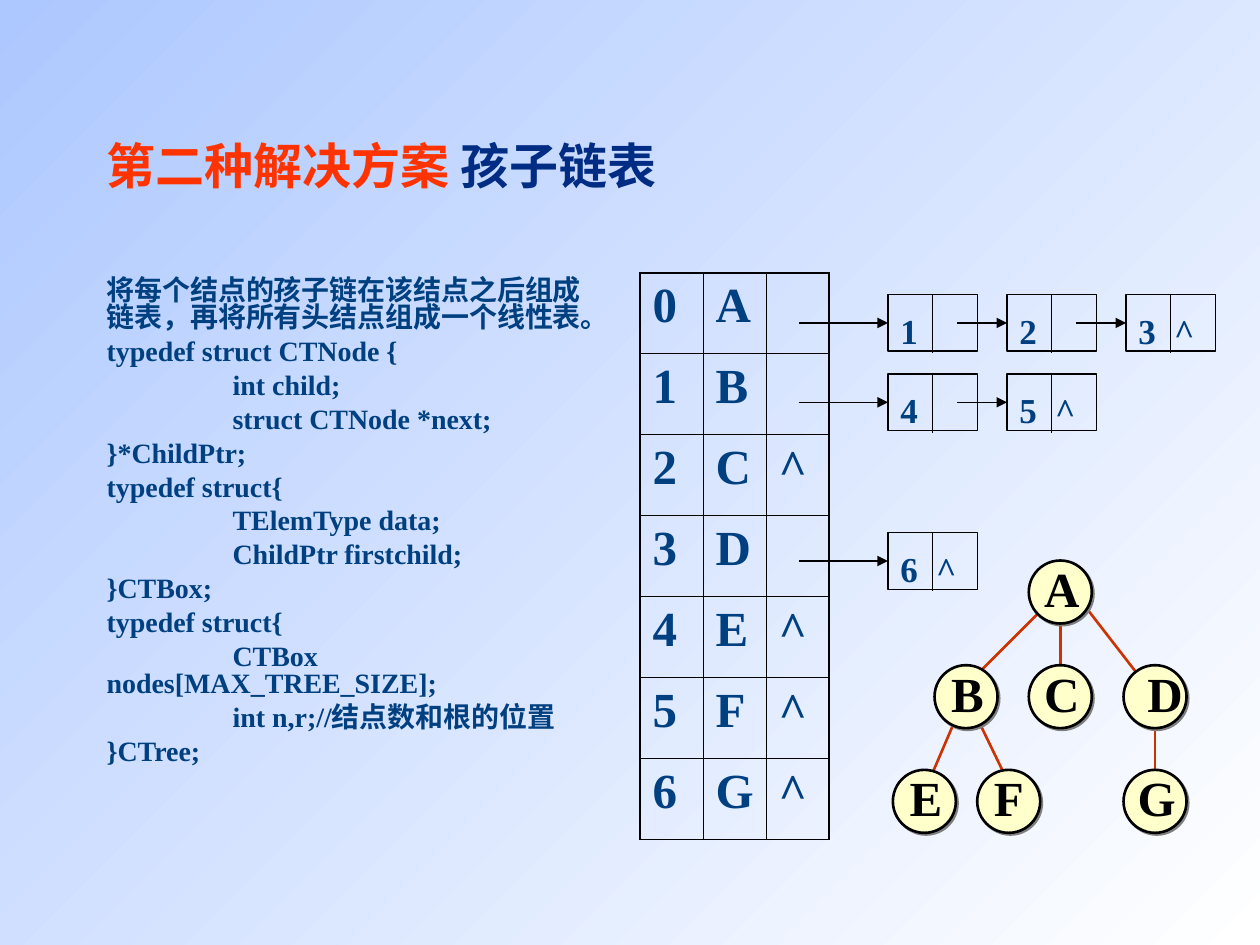
from dataclasses import dataclass

from lxml.etree import SubElement
from pptx import Presentation
from pptx.dml.color import RGBColor
from pptx.enum.shapes import MSO_CONNECTOR as Connector, MSO_SHAPE as Shape
from pptx.enum.text import MSO_ANCHOR as Anchor, PP_ALIGN as Align
from pptx.oxml.ns import qn
from pptx.util import Cm, Pt


@dataclass(frozen=True)
class Theme:
    font: str = "Times New Roman"
    sky: str = "ADC8FF"
    white: str = "FFFFFF"
    accent: str = "FF3300"
    navy: str = "002C84"
    body: str = "004080"
    black: str = "000000"
    edge: str = "CC3300"
    circle: str = "FFFFCC"
    shadow: str = "808080"
    large: int = 28
    medium: int = 20
    small: int = 16
    thin: float = 0.45
    frame: float = 1.08
    link: float = 0.75
    outline: float = 1.5


THEME = Theme()

CODE = [
    "将每个结点的孩子链在该结点之后组成链表，再将所有头结点组成一个线性表。",
    "typedef struct CTNode {",
    "\tint child;",
    "\tstruct CTNode *next;",
    "}*ChildPtr;",
    "typedef struct{",
    "\tTElemType data;",
    "\tChildPtr firstchild;",
    "}CTBox;",
    "typedef struct{",
    "\tCTBox nodes[MAX_TREE_SIZE];",
    "\tint n,r;//结点数和根的位置",
    "}CTree;",
]
# Children of each parent, keyed by table row
CHILDREN = {0: "123", 1: "45", 3: "6"}
# Letter: left and top of the circle, sideways shift of the letter
TREE_NODES = {
    "A": (2.74, 0, 0.03), "B": (0.84, 2.11, 0.03), "C": (2.74, 2.11, 0.03),
    "D": (4.65, 2.11, 0.2), "E": (0, 4.22, 0.03), "F": (1.7, 4.22, 0),
    "G": (4.65, 4.22, 0.03),
}
TREE_EDGES = [
    (5.28, 3.18, 5.28, 4.65), (3.81, 0.84, 5.28, 2.74), (1.7, 3.18, 2.31, 4.44),
    (1.27, 3.18, 0.64, 4.65), (2.95, 1.04, 1.68, 2.31), (3.38, 1.04, 3.38, 2.31),
]


def rgb(color):
    return RGBColor.from_string(color)


def write_text(frame, paragraphs, *, size, color=THEME.body, align=Align.LEFT,
               anchor=Anchor.TOP, wrap=True, insets=(0.25, 0.13, 0.25, 0.13),
               line_spacing=None, space_before=0, tab=None):
    """Fill a frame; a paragraph is a string or a list of (text, color) runs."""
    frame.word_wrap = wrap
    frame.vertical_anchor = anchor
    (frame.margin_left, frame.margin_top,
     frame.margin_right, frame.margin_bottom) = map(Cm, insets)
    for index, content in enumerate(paragraphs):
        paragraph = frame.add_paragraph() if index else frame.paragraphs[0]
        if tab:
            tabs = SubElement(paragraph._p.get_or_add_pPr(), qn("a:tabLst"))
            SubElement(tabs, qn("a:tab"), pos=str(Cm(tab)), algn="l")
        paragraph.alignment = align
        paragraph.line_spacing = line_spacing
        paragraph.space_before = Pt(space_before if index else 0)
        runs = [(content, color)] if isinstance(content, str) else content
        for text, run_color in runs:
            run = paragraph.add_run()
            run.text = text
            run.font.name = THEME.font
            run.font.size = Pt(size)
            run.font.bold = True
            run.font.color.rgb = rgb(run_color)


def add_text(shapes, left, top, width, height, paragraphs, **text_format):
    box = shapes.add_textbox(Cm(left), Cm(top), Cm(width), Cm(height))
    write_text(box.text_frame, paragraphs, **text_format)


def add_line(shapes, x1, y1, x2, y2, color=THEME.black, width=THEME.link, arrow=False):
    line = shapes.add_connector(Connector.STRAIGHT, Cm(x1), Cm(y1), Cm(x2), Cm(y2))
    line.line.color.rgb = rgb(color)
    line.line.width = Pt(width)
    if arrow:
        SubElement(line.line._get_or_add_ln(), qn("a:tailEnd"), type="triangle")
    SubElement(line._element.spPr, qn("a:effectLst"))


def add_outlined(shapes, kind, left, top, width, height, line_width):
    shape = shapes.add_shape(kind, Cm(left), Cm(top), Cm(width), Cm(height))
    shape.shadow.inherit = False
    shape.fill.background()
    shape.line.color.rgb = rgb(THEME.black)
    shape.line.width = Pt(line_width)
    return shape


def set_borders(cell, widths):
    for side, width in zip("LRTB", widths):
        line = SubElement(cell._tc.get_or_add_tcPr(), qn(f"a:ln{side}"), w=str(Pt(width)))
        fill = SubElement(line, qn("a:solidFill"))
        SubElement(fill, qn("a:srgbClr"), val=THEME.black)


def add_parent_table(slide, left, top, width, height):
    """List every tree node, marking those without children by ^."""
    letters = "ABCDEFG"
    last = len(letters) - 1
    table = slide.shapes.add_table(len(letters), 3, Cm(left), Cm(top),
                                   Cm(width), Cm(height)).table
    table.first_row = table.horz_banding = False
    for row, letter in enumerate(letters):
        for column, text in enumerate((str(row), letter, "" if row in CHILDREN else "^")):
            cell = table.cell(row, column)
            outer = (column == 0, column == 2, row == 0, row == last)
            set_borders(cell, [THEME.frame if side else THEME.thin for side in outer])
            cell.fill.background()
            write_text(cell.text_frame, [text] if text else [], size=THEME.large)


def add_child_chains(slide, left, top):
    """Draw one linked list per parent, level with its slot in the grid."""
    shapes = slide.shapes.add_group_shape().shapes
    width, height, column_pitch, row_pitch = 1.8, 1.14, 2.4, 1.6
    for row, children in CHILDREN.items():
        y = top + row * row_pitch
        arrow_start = left - 1.8
        for position, child in enumerate(children):
            x = left + position * column_pitch
            is_last = position == len(children) - 1
            node = add_outlined(shapes, Shape.RECTANGLE, x, y, width, height, THEME.link)
            write_text(node.text_frame, [child + "\t^" if is_last else child],
                       size=THEME.medium, anchor=Anchor.MIDDLE, line_spacing=1.05,
                       insets=(0.25, 0.25, 0.1, 0), tab=0.72)
            add_line(shapes, x + width / 2, y, x + width / 2, y + height + 0.04)
            add_line(shapes, arrow_start, y + height / 2, x, y + height / 2, arrow=True)
            arrow_start = x + 1.4


def add_tree(slide, left, top):
    shapes = slide.shapes.add_group_shape().shapes
    diameter = 1.27
    for x1, y1, x2, y2 in TREE_EDGES:
        add_line(shapes, left + x1, top + y1, left + x2, top + y2,
                 THEME.edge, THEME.outline)
    for x, y, _ in TREE_NODES.values():
        circle = add_outlined(shapes, Shape.OVAL, left + x, top + y,
                              diameter, diameter, THEME.outline)
        circle.fill.solid()
        circle.fill.fore_color.rgb = rgb(THEME.circle)
        effects = circle._element.spPr.find(qn("a:effectLst"))
        shadow = SubElement(effects, qn("a:outerShdw"), dist=str(Pt(1.4)), dir="2700000",
                            algn="ctr", rotWithShape="0")
        SubElement(shadow, qn("a:srgbClr"), val=THEME.shadow)
    for letter, (x, y, shift) in TREE_NODES.items():
        add_text(shapes, left + x + shift, top + y - 0.17, diameter, 1.45, [letter],
                 size=THEME.large, color=THEME.black, align=Align.CENTER,
                 anchor=Anchor.MIDDLE, wrap=False)


def set_background(slide):
    fill = slide.background.fill
    fill.gradient()
    fill.gradient_angle = 315
    for stop, color, position in zip(fill.gradient_stops, (THEME.sky, THEME.white), (0, 1)):
        stop.color.rgb = rgb(color)
        stop.position = position


def main():
    presentation = Presentation()
    presentation.slide_width, presentation.slide_height = Cm(25.4), Cm(19.05)
    slide = presentation.slides.add_slide(presentation.slide_layouts[6])
    set_background(slide)
    title = [("第二种解决方案", THEME.accent), (" 孩子链表", THEME.navy)]
    add_text(slide.shapes, 1.9, 1.73, 21.6, 3.18, [title],
             size=THEME.large, anchor=Anchor.MIDDLE)
    add_text(slide.shapes, 1.9, 5.5, 10.6, 11.43, CODE, size=THEME.small,
             line_spacing=0.8, space_before=4, tab=2.54)
    add_tree(slide, 18, 11.3)
    add_parent_table(slide, 12.9, 5.5, 3.81, 11.43)
    add_child_chains(slide, 17.9, 5.94)
    presentation.save("out.pptx")


if __name__ == "__main__":
    main()
